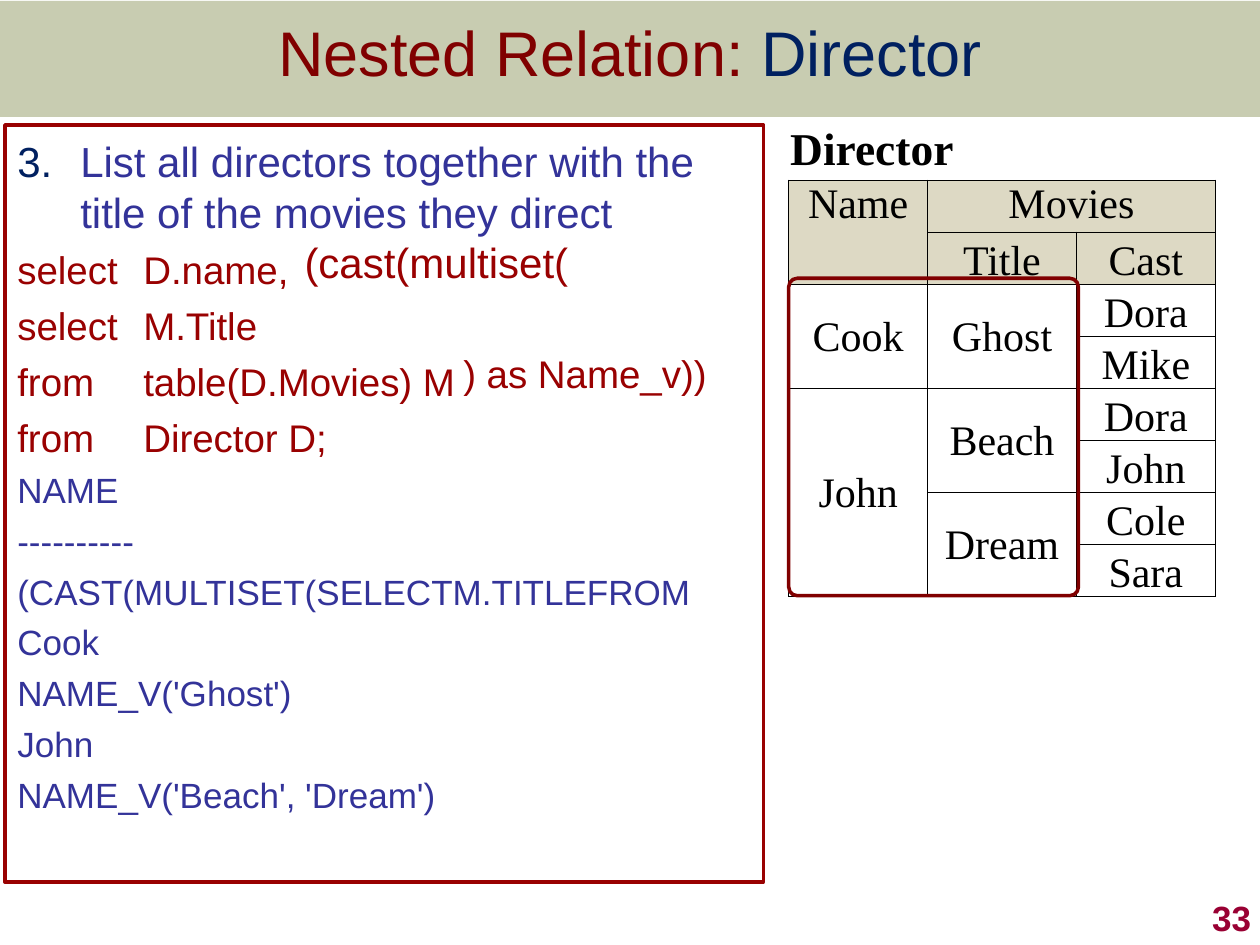
from lxml import etree
from pptx import Presentation
from pptx.dml.color import RGBColor
from pptx.enum.shapes import MSO_SHAPE
from pptx.enum.text import MSO_ANCHOR, PP_ALIGN
from pptx.oxml.ns import qn
from pptx.util import Cm, Pt

LEFT, CENTER, RIGHT = PP_ALIGN.LEFT, PP_ALIGN.CENTER, PP_ALIGN.RIGHT
TOP, MIDDLE, BOTTOM = MSO_ANCHOR.TOP, MSO_ANCHOR.MIDDLE, MSO_ANCHOR.BOTTOM

OLIVE = RGBColor(0x67, 0x72, 0x28)
MAROON = RGBColor(0x80, 0x00, 0x00)
NAVY = RGBColor(0x00, 0x20, 0x60)
CRIMSON = RGBColor(0x99, 0x00, 0x33)
RED = RGBColor(0x99, 0x01, 0x01)
INDIGO = RGBColor(0x33, 0x33, 0x99)
BLACK = RGBColor(0x00, 0x00, 0x00)
WHITE = RGBColor(0xFF, 0xFF, 0xFF)
TAN = RGBColor(0xDD, 0xD9, 0xC4)


def add_run(p, text, size, color, font="Arial", bold=False):
    r = p.add_run()
    r.text = text
    r.font.name, r.font.size, r.font.bold = font, Pt(size), bold
    r.font.color.rgb = color


def add_box(left, top, width, height, anchor, wrap):
    tf = s.shapes.add_textbox(Cm(left), Cm(top), Cm(width), Cm(height)).text_frame
    tf.word_wrap = wrap
    tf.vertical_anchor = anchor
    return tf.paragraphs[0]


prs = Presentation()
prs.slide_width, prs.slide_height = Cm(25.4), Cm(19.05)
s = prs.slides.add_slide(prs.slide_layouts[6])

# Title band
band = s.shapes.add_shape(MSO_SHAPE.RECTANGLE, 0, Cm(0.02), Cm(25.4), Cm(2.34))
band.shadow.inherit = False
band.fill.solid()
band.fill.fore_color.rgb = OLIVE
band.line.fill.background()
clr = band.fill._xPr.find(".//" + qn("a:srgbClr"))
etree.SubElement(clr, qn("a:alpha"), val="36000")

# Title and page number
p = add_box(0, 0, 25.4, 2.08, MIDDLE, True)
p.alignment = CENTER
add_run(p, "Nested Relation: ", 36, MAROON)
add_run(p, "Director", 36, NAVY)

p = add_box(20.19, 17.78, 5.28, 1.27, BOTTOM, True)
p.alignment = RIGHT
add_run(p, "33", 20, CRIMSON, bold=True)

# Query and its result
sp = s.shapes.add_shape(MSO_SHAPE.RECTANGLE, Cm(0.1), Cm(2.52), Cm(15.29), Cm(15.26))
sp.shadow.inherit = False
sp.fill.background()
sp.line.color.rgb, sp.line.width = RED, Pt(2)
tf = sp.text_frame
tf.word_wrap = True
tf.vertical_anchor = TOP
tf.margin_left, tf.margin_top = Cm(0.25), Cm(0.22)
tf.margin_right, tf.margin_bottom = 0, Cm(0.13)

p = tf.paragraphs[0]
p.alignment = LEFT
add_run(p, "List all directors together with the title of the movies they direct", 24, INDIGO)
pPr = p._p.get_or_add_pPr()
pPr.set("marL", str(Cm(1.27)))
pPr.set("indent", str(-Cm(1.27)))
bu_clr = etree.SubElement(pPr, qn("a:buClr"))
etree.SubElement(bu_clr, qn("a:srgbClr"), val=str(NAVY))
etree.SubElement(pPr, qn("a:buAutoNum"), type="arabicPeriod", startAt="3")

query = ["select\tD.name,", "select\tM.Title", "from\ttable(D.Movies) M", "from\tDirector D;"]
result = ["NAME", "----------", "(CAST(MULTISET(SELECTM.TITLEFROM", "Cook",
          "NAME_V('Ghost')", "John", "NAME_V('Beach', 'Dream')"]
for lines, size, color in [(query, 22, RED), (result, 20, INDIGO)]:
    for line in lines:
        p = tf.add_paragraph()
        p.alignment = LEFT
        p.space_before = Pt(size / 4)
        add_run(p, line, size, color)

# Query parts set beside the lines
add_run(add_box(5.89, 4.65, 5.89, 1.27, TOP, False), "(cast(multiset(", 24, RED)
add_run(add_box(9.09, 6.93, 5.49, 1.19, TOP, False), ") as Name_v))", 22, RED)

# Director table
tbl = s.shapes.add_table(9, 3, Cm(15.9), Cm(2.49), Cm(8.6), Cm(9.54)).table
tbl.first_row = tbl.horz_banding = False
for col, width in zip(tbl.columns, [2.8, 3, 2.8]):
    col.width = Cm(width)
for i, row in enumerate(tbl.rows):
    row.height = Cm(1.05 if i else 1.14)

for i in range(9):
    for j in range(3):
        cell = tbl.cell(i, j)
        cell.margin_left = cell.margin_right = cell.margin_top = Cm(0.03)
        cell.margin_bottom = 0
        tcPr = cell._tc.get_or_add_tcPr()
        for side in ["lnL", "lnR", "lnT", "lnB"]:
            ln = etree.SubElement(tcPr, qn("a:" + side), w=str(Pt(0.5)))
            if i == 0 and side != "lnB":
                etree.SubElement(ln, qn("a:noFill"))
            else:
                fill = etree.SubElement(ln, qn("a:solidFill"))
                etree.SubElement(fill, qn("a:srgbClr"), val=str(BLACK))
        cell.fill.solid()
        cell.fill.fore_color.rgb = TAN if i in (1, 2) else WHITE

# Cells: row, column, rows spanned, columns spanned, text, anchor
cells = [(0, 0, 1, 3, "Director", TOP), (1, 0, 2, 1, "Name", TOP),
         (1, 1, 1, 2, "Movies", TOP), (2, 1, 1, 1, "Title", BOTTOM),
         (2, 2, 1, 1, "Cast", BOTTOM), (3, 0, 2, 1, "Cook", MIDDLE),
         (5, 0, 4, 1, "John", MIDDLE)]
for k, title in enumerate(["Ghost", "Beach", "Dream"]):
    cells.append((3 + 2 * k, 1, 2, 1, title, MIDDLE))
for k, actor in enumerate(["Dora", "Mike", "Dora", "John", "Cole", "Sara"]):
    cells.append((3 + k, 2, 1, 1, actor, BOTTOM))

for i, j, rows, cols, text, anchor in cells:
    cell = tbl.cell(i, j)
    if rows * cols > 1:
        cell.merge(tbl.cell(i + rows - 1, j + cols - 1))
    cell.vertical_anchor = anchor
    p = cell.text_frame.paragraphs[0]
    p.alignment = CENTER if i else LEFT
    add_run(p, text, 24 if i else 26, BLACK, "Times New Roman", bold=i == 0)

# Frame around the selected columns
sp = s.shapes.add_shape(MSO_SHAPE.ROUNDED_RECTANGLE, Cm(15.9), Cm(5.61), Cm(5.84), Cm(6.4))
sp.adjustments[0] = 0.03
sp.shadow.inherit = False
sp.fill.background()
sp.line.color.rgb, sp.line.width = MAROON, Pt(2)

prs.save("out.pptx")
